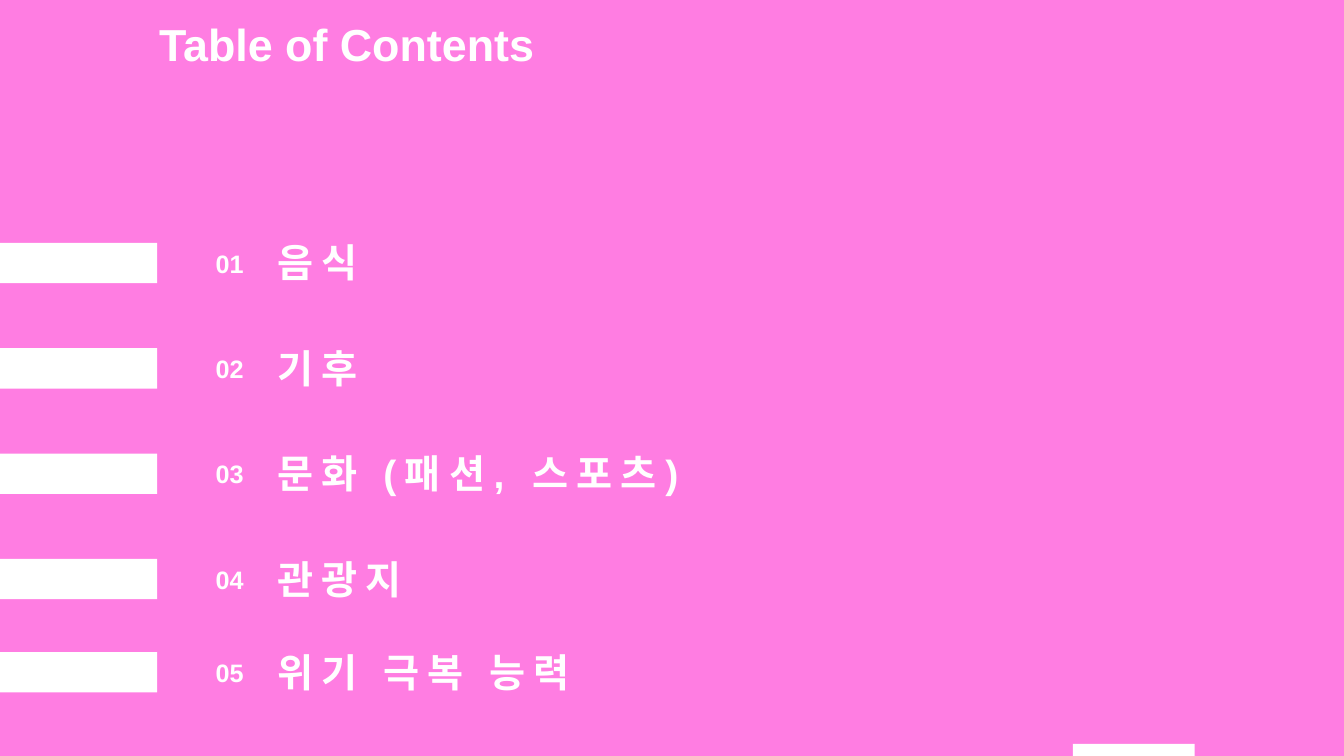
from pptx import Presentation
from pptx.dml.color import RGBColor
from pptx.enum.shapes import MSO_SHAPE
from pptx.util import Inches, Pt

RECT = MSO_SHAPE.RECTANGLE
THEME = {
    "pink": RGBColor.from_string("FF7DE2"),
    "white": RGBColor.from_string("FFFFFF"),
    "font": "Arial",
    "title": 32,
    "number": 18,
    "label": 28,
    "spacing": 6,
}

# Columns and rows of the contents list, in inches
BAR_W, BAR_H = 1.56, 0.4
NUMBER_X, NUMBER_W = 2.04, 0.48
LABEL_X, LABEL_H, LABEL_RISE = 2.65, 0.57, 0.09
FIRST_ROW, ROW_STEP, LAST_ROW = 2.41, 1.045, 6.47
ITEMS = [
    ("음식", 1.16),
    ("기후", 1.16),
    ("문화 (패션, 스포츠)", 4.55),
    ("관광지", 1.63),
    ("위기 극복 능력", 3.45),
]


def add_bar(shapes, x, y, w, h):
    sp = shapes.add_shape(RECT, Inches(x), Inches(y), Inches(w), Inches(h))
    sp.shadow.inherit = False
    sp.fill.solid()
    sp.fill.fore_color.rgb = THEME["white"]
    sp.line.fill.background()


def add_text(shapes, text, x, y, w, h, size, spacing=0, wrap=False):
    """Add bold white text; spacing is the extra gap between letters in points."""
    tf = shapes.add_textbox(Inches(x), Inches(y), Inches(w), Inches(h)).text_frame
    tf.word_wrap = wrap
    tf.text = text
    font = tf.paragraphs[0].runs[0].font
    font.name, font.size, font.bold = THEME["font"], Pt(size), True
    font.color.rgb = THEME["white"]
    if spacing:
        tf.paragraphs[0].runs[0]._r.get_or_add_rPr().set("spc", str(spacing * 100))


prs = Presentation()
prs.slide_width, prs.slide_height = Inches(13.33), Inches(7.5)
s = prs.slides.add_slide(prs.slide_layouts[6])
s.background.fill.solid()
s.background.fill.fore_color.rgb = THEME["pink"]

add_text(s.shapes, "Table of Contents", 1.48, 0.12, 3.95, 0.64, THEME["title"])
add_bar(s.shapes, 10.64, 7.38, 1.21, 0.12)

for i, (label, label_w) in enumerate(ITEMS):
    y = LAST_ROW if i == len(ITEMS) - 1 else FIRST_ROW + i * ROW_STEP
    row = s.shapes.add_group_shape().shapes
    add_bar(row, 0, y, BAR_W, BAR_H)
    add_text(row, f"{i + 1:02d}", NUMBER_X, y, NUMBER_W, BAR_H, THEME["number"])
    add_text(row, label, LABEL_X, y - LABEL_RISE, label_w, LABEL_H,
             THEME["label"], THEME["spacing"], wrap=True)

prs.save("out.pptx")
